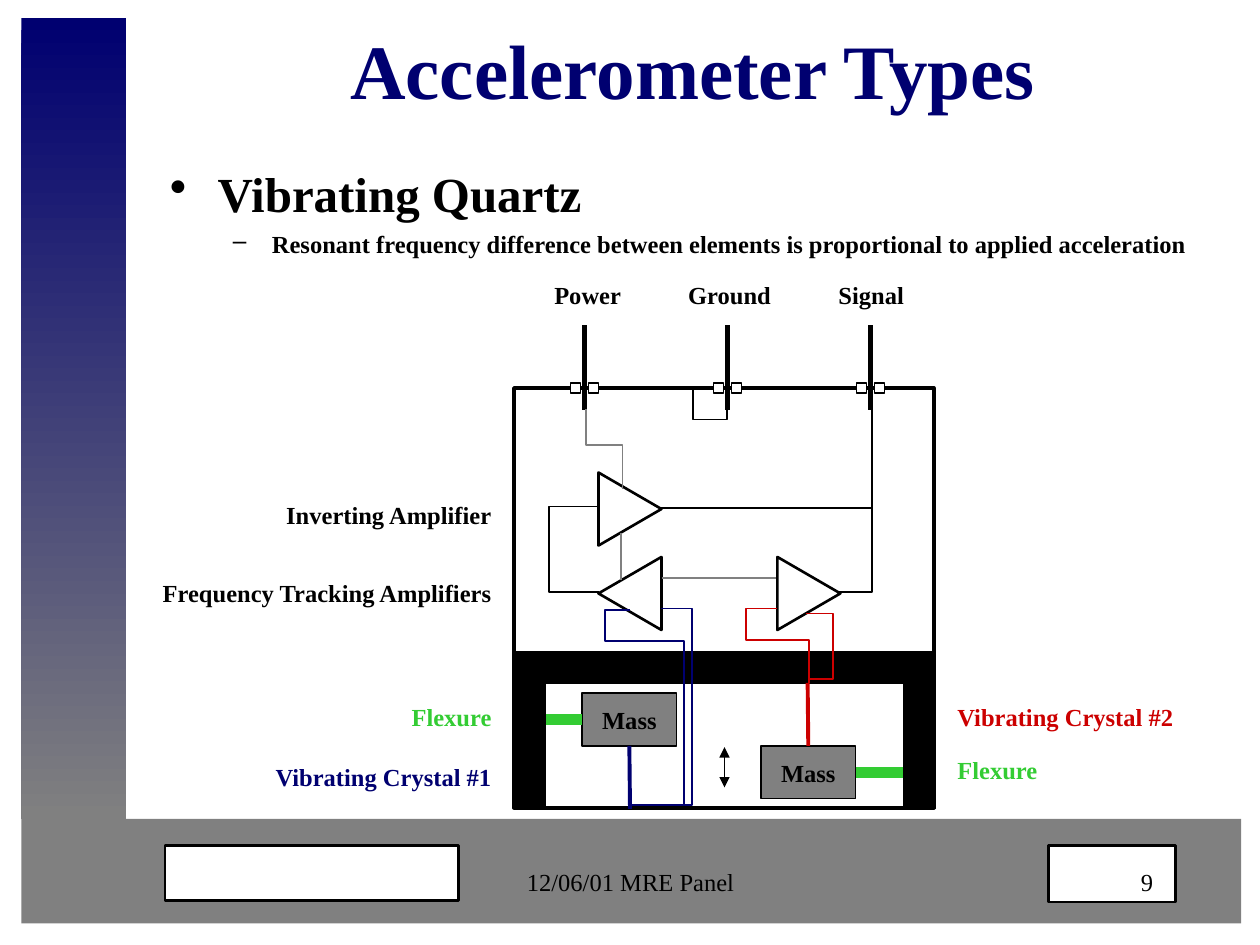
from lxml.etree import SubElement
from pptx import Presentation
from pptx.dml.color import RGBColor
from pptx.enum.shapes import MSO_CONNECTOR, MSO_SHAPE
from pptx.enum.text import MSO_ANCHOR, PP_ALIGN
from pptx.oxml.ns import qn
from pptx.util import Inches, Pt

NAVY = RGBColor(0x00, 0x00, 0x70)
GRAY = RGBColor(0x80, 0x80, 0x80)
BLACK = RGBColor(0x00, 0x00, 0x00)
WHITE = RGBColor(0xFF, 0xFF, 0xFF)
RED = RGBColor(0xCC, 0x00, 0x00)
GREEN = RGBColor(0x33, 0xCC, 0x33)
FONT = "Times New Roman"
LEFT, CENTER, RIGHT = PP_ALIGN.LEFT, PP_ALIGN.CENTER, PP_ALIGN.RIGHT

TITLE = "Accelerometer Types"
BULLETS = [
    ("Vibrating Quartz", 28, "•", 0.38, 0.38, 0),
    ("Resonant frequency difference between elements is proportional to applied acceleration",
     14, "–", 0.81, 0.31, 3.5),
]
FOOTERS = [("12/06/01 MRE Panel", 3.42, 3.17, CENTER), ("9", 7.17, 2.08, RIGHT)]
FOOTER_BOXES = [(1.31, 6.71, 2.33, 0.44), (8.32, 6.71, 1.01, 0.45)]

PINS = [("Power", 4.08, 1.17), ("Ground", 5.08, 1.42), ("Signal", 6.33, 1.17)]
FIRST_PIN, PIN_STEP = 4.64, 1.135
TERMINAL = 0.08

LABEL_RIGHT_EDGE, LABEL_LEFT_EDGE = 4.0, 7.5
LEFT_LABELS = [
    ("Inverting Amplifier", 3.92, 2.17, BLACK, 1),
    ("Frequency Tracking Amplifiers", 4.54, 3.17, BLACK, 1),
    ("Flexure", 5.58, 1.58, GREEN, 0.75),
    ("Vibrating Crystal #1", 6, 2.08, NAVY, 1),
]
RIGHT_LABELS = [
    ("Vibrating Crystal #2", 5.52, 2.08, RED, 1),
    ("Flexure", 6, 1.58, GREEN, 0.75),
]

HOUSING = (4.08, 3.08, 3.33, 3.33)
WALLS = [(4.08, 5.17, 3.33, 0.25), (4.08, 5.42, 0.25, 1), (7.17, 5.42, 0.25, 1)]
MASSES = [(4.62, 5.5), (6.04, 5.92)]
MASS_SIZE = (0.75, 0.42)
TOP_SIDE, LEFT_SIDE, BOTTOM_SIDE, RIGHT_SIDE = range(4)
MASS_LINKS = [
    (0, LEFT_SIDE, (4.33, 5.71), GREEN, 6),
    (0, BOTTOM_SIDE, (5, 6.42), NAVY, 2.25),
    (1, RIGHT_SIDE, (7.17, 6.13), GREEN, 6),
    (1, TOP_SIDE, (6.41, 5.42), RED, 2.25),
]

AMPLIFIERS = [(4.75, 3.75, 1), (5.25, 4.42, -1), (6.17, 4.42, 1)]
AMPLIFIER_WIDTH, AMPLIFIER_HEIGHT = 0.5, 0.58
WIRES = [
    (BLACK, [(5.77, 3.25), (5.77, 3.33), (5.5, 3.33), (5.5, 3.09)]),
    (BLACK, [(4.75, 4.7), (4.36, 4.7), (4.36, 4.02), (4.74, 4.02)]),
    (BLACK, [(5.25, 4.03), (6.92, 4.03), (6.92, 3.24)]),
    (BLACK, [(6.92, 4), (6.92, 4.7), (6.66, 4.7)]),
    (RED, [(6.42, 5.42), (6.42, 5.08), (5.92, 5.08), (5.92, 4.83), (6.17, 4.83)]),
    (RED, [(6.42, 5.39), (6.61, 5.39), (6.61, 4.87), (6.4, 4.87)]),
    (GRAY, [(4.65, 3.25), (4.65, 3.53), (4.94, 3.53), (4.94, 3.88)]),
    (NAVY, [(5.25, 4.83), (5.49, 4.83), (5.49, 6.39), (4.99, 6.39)]),
    (NAVY, [(5, 4.84), (4.8, 4.84), (4.8, 5.09), (5.43, 5.09), (5.43, 6.39)]),
]
STRAIGHT_WIRES = [((4.93, 4.23), (4.93, 4.6)), ((5.25, 4.59), (6.16, 4.59))]
MOTION_ARROW = ((5.75, 5.93), (5.75, 6.25))

deck = Presentation()
deck.slide_width, deck.slide_height = Inches(10), Inches(7.5)
page = deck.slides.add_slide(deck.slide_layouts[6])
shapes = page.shapes


def add_span(para, text, size, color=BLACK, bold=True):
    span = para.add_run()
    span.text = text
    font = span.font
    font.name, font.size, font.bold = FONT, Pt(size), bold
    font.color.rgb = color


def add_text(text, place, size=14, color=BLACK, align=LEFT, bold=True, spacing=1):
    box = shapes.add_textbox(*map(Inches, place))
    box.text_frame.word_wrap = True
    para = box.text_frame.paragraphs[0]
    para.alignment, para.line_spacing = align, spacing
    add_span(para, text, size, color, bold)
    return box


def outline(shape, color, width):
    shape.shadow.inherit = False
    if width:
        shape.line.color.rgb = color
        shape.line.width = Pt(width)
    else:
        shape.line.fill.background()


def add_box(place, fill=None, width=0.75):
    box = shapes.add_shape(MSO_SHAPE.RECTANGLE, *map(Inches, place))
    if fill is None:
        box.fill.background()
    else:
        box.fill.solid()
        box.fill.fore_color.rgb = fill
    outline(box, BLACK, width)
    return box


def add_line(start, end, color, width, arrows=False):
    line = shapes.add_connector(MSO_CONNECTOR.STRAIGHT, *map(Inches, start + end))
    line.line.color.rgb = color
    line.line.width = Pt(width)
    if arrows:
        for tip in ("a:headEnd", "a:tailEnd"):
            SubElement(line.line._get_or_add_ln(), qn(tip), type="triangle")
    SubElement(line._element.spPr, qn("a:effectLst"))
    return line


def add_path(points, color, width, close=False):
    corners = [tuple(map(Inches, point)) for point in points]
    builder = shapes.build_freeform(*corners[0])
    builder.add_line_segments(corners[1:], close=close)
    drawn = builder.convert_to_shape()
    drawn.fill.background()
    outline(drawn, color, width)


sidebar = add_box((0.17, 0.14, 0.83, 6.36), GRAY, 0)
sidebar.fill.gradient()
sidebar.fill.gradient_angle = 270
for stop, color, position in zip(sidebar.fill.gradient_stops, (NAVY, GRAY), (0, 1)):
    stop.color.rgb, stop.position = color, position
add_box((0.17, 6.5, 9.68, 0.83), GRAY, 0)
for place in FOOTER_BOXES:
    add_box(place, WHITE, 1.5)

title = add_text(TITLE, (1.25, -0.08, 8.5, 1.25), 44, NAVY, CENTER)
title.text_frame.vertical_anchor = MSO_ANCHOR.MIDDLE

body = shapes.add_textbox(*map(Inches, (1.25, 1.25, 8.5, 1))).text_frame
body.word_wrap = True
for row, (text, size, mark, margin, hang, before) in enumerate(BULLETS):
    para = body.add_paragraph() if row else body.paragraphs[0]
    para.level, para.space_before = row, Pt(before)
    add_span(para, text, size)
    props = para._p.get_or_add_pPr()
    props.set("marL", str(Inches(margin)))
    props.set("indent", str(-Inches(hang)))
    SubElement(props, qn("a:buChar"), char=mark)

add_box(HOUSING, width=2.25)
for place in WALLS:
    add_box(place, BLACK)

masses = []
for corner in MASSES:
    mass = add_box(corner + MASS_SIZE, GRAY)
    mass.text_frame.vertical_anchor = MSO_ANCHOR.MIDDLE
    para = mass.text_frame.paragraphs[0]
    para.alignment = CENTER
    add_span(para, "Mass", 14)
    masses.append(mass)
for index, side, end, color, width in MASS_LINKS:
    add_line(end, end, color, width).begin_connect(masses[index], side)

for column, (name, left, width) in enumerate(PINS):
    pin = FIRST_PIN + column * PIN_STEP
    add_line((pin, 2.58), (pin, 3.25), BLACK, 3)
    for offset in (-0.03 - TERMINAL, 0.03):
        add_box((pin + offset, 3.04, TERMINAL, TERMINAL), WHITE)
    add_text(name, (left, 2.17, width, 0.34), align=CENTER)

for base, top, direction in AMPLIFIERS:
    tip = (base + direction * AMPLIFIER_WIDTH, top + AMPLIFIER_HEIGHT / 2)
    add_path([(base, top), tip, (base, top + AMPLIFIER_HEIGHT)], BLACK, 1.5, close=True)
for color, points in WIRES:
    add_path(points, color, 1)
for start, end in STRAIGHT_WIRES:
    add_line(start, end, GRAY, 1)
add_line(*MOTION_ARROW, BLACK, 1, arrows=True)

for text, top, width, color, spacing in LEFT_LABELS:
    place = (LABEL_RIGHT_EDGE - width, top, width, 0.34 if spacing == 1 else 0.28)
    add_text(text, place, color=color, align=RIGHT, spacing=spacing)
for text, top, width, color, spacing in RIGHT_LABELS:
    place = (LABEL_LEFT_EDGE, top, width, 0.34 if spacing == 1 else 0.28)
    add_text(text, place, color=color, spacing=spacing)
for text, left, width, align in FOOTERS:
    add_text(text, (left, 6.83, width, 0.5), align=align, bold=False)

deck.save("out.pptx")
